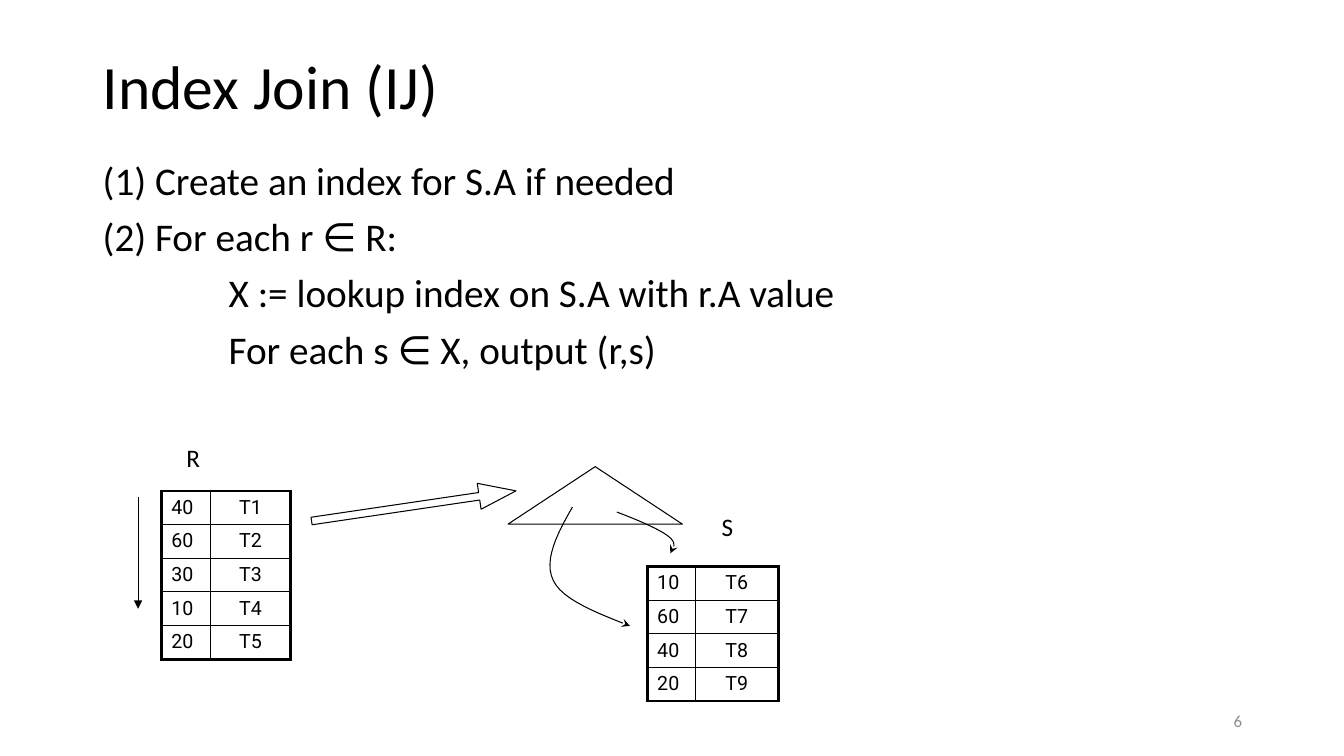
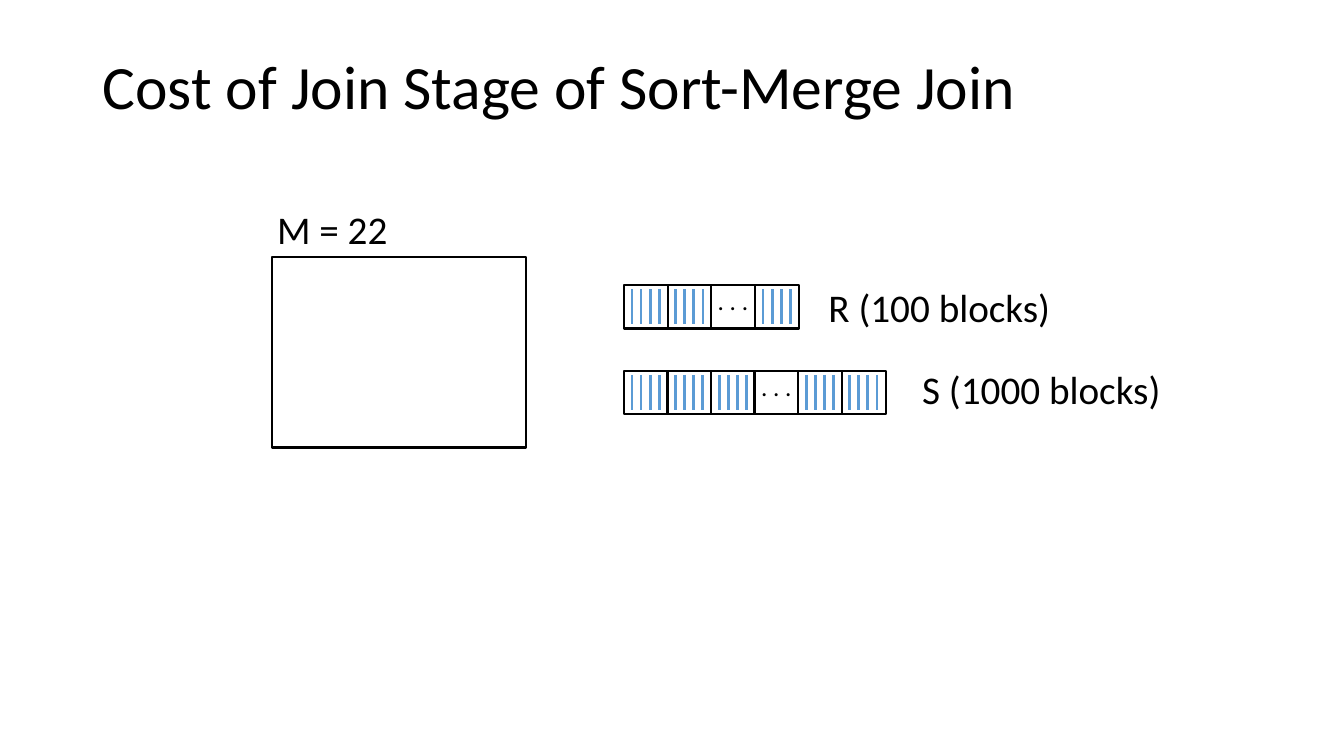
from dataclasses import dataclass

from lxml.etree import SubElement
from pptx import Presentation
from pptx.dml.color import RGBColor
from pptx.enum.shapes import MSO_CONNECTOR, MSO_SHAPE
from pptx.enum.text import MSO_ANCHOR, PP_ALIGN
from pptx.oxml.ns import qn
from pptx.util import Inches, Pt

CELL = Inches(0.1)
COLUMNS, ROWS = 133.33, 75
BLACK = RGBColor(0x00, 0x00, 0x00)
WHITE = RGBColor(0xFF, 0xFF, 0xFF)
GREY = RGBColor(0x8C, 0x8C, 0x8C)
BLUE = RGBColor(0x5B, 0x9B, 0xD5)
TEXT_FONT, TABLE_FONT = "Calibri", "Roboto"
THIN, INNER, BLOCK, STRIPE, OUTER = 0.75, 1, 1.5, 2, 2.25


@dataclass
class Box:
    """A region measured in grid columns and rows."""

    left: float
    top: float
    width: float
    height: float

    def inset(self, left, top, width, height):
        """Return a region offset from this one's corner."""
        return Box(self.left + left, self.top + top, width, height)

    def point(self, column, row):
        """Return a slide position in EMU for an offset from the corner."""
        return round((self.left + column) * CELL), round((self.top + row) * CELL)

    def frame(self):
        """Return left, top, width and height in EMU."""
        return [round(v * CELL) for v in (self.left, self.top, self.width, self.height)]


TITLE = Box(9.2, 4, 115, 9.7)
BODY = Box(9.2, 15.5, 115, 52.1)
PAGE_NUMBER = Box(94.2, 69.5, 30, 4)


def add_run(paragraph, text, size, color=BLACK, font=TEXT_FONT):
    """Add one styled run to a paragraph."""
    run = paragraph.add_run()
    run.text = text
    run.font.size = Pt(size)
    run.font.name = font
    run.font.color.rgb = color


def add_text(slide, box, lines, size, color=BLACK, align=PP_ALIGN.LEFT,
             anchor=MSO_ANCHOR.TOP, wrap=True, spacing=None, before=None):
    """Place lines of text, each given with its left indent in columns."""
    frame = slide.shapes.add_textbox(*box.frame()).text_frame
    frame.word_wrap = wrap
    frame.vertical_anchor = anchor
    for index, (text, indent) in enumerate(lines):
        paragraph = frame.add_paragraph() if index else frame.paragraphs[0]
        paragraph.alignment = align
        paragraph.line_spacing = spacing
        paragraph.space_before = before
        if indent:
            paragraph._p.get_or_add_pPr().set("marL", str(round(indent * CELL)))
        add_run(paragraph, text, size, color)


def add_label(slide, box, text, size):
    """Place a short unwrapped label."""
    add_text(slide, box, [(text, 0)], size, wrap=False)


def add_outlined(slide, kind, box, weight):
    """Place a white preset shape with a black outline."""
    shape = slide.shapes.add_shape(kind, *box.frame())
    shape.shadow.inherit = False
    shape.fill.solid()
    shape.fill.fore_color.rgb = WHITE
    style_line(shape, weight)
    return shape


def style_line(shape, weight, color=BLACK, head=None):
    """Set the line's weight, colour and closing arrowhead."""
    shape.line.width = Pt(weight)
    shape.line.color.rgb = color
    if head:
        SubElement(shape.element.find(".//" + qn("a:ln")), qn("a:tailEnd"), type=head)


def add_line(slide, start, end, weight, color=BLACK, head=None):
    """Draw a straight line without a shadow."""
    line = slide.shapes.add_connector(MSO_CONNECTOR.STRAIGHT, *start, *end)
    style_line(line, weight, color, head)
    SubElement(line.element.spPr, qn("a:effectLst"))


def bezier(controls, t):
    """Return the point at t on a cubic curve."""
    weights = ((1 - t) ** 3, 3 * t * (1 - t) ** 2, 3 * t * t * (1 - t), t ** 3)
    return tuple(sum(w * c[axis] for w, c in zip(weights, controls)) for axis in (0, 1))


def add_curved_arrow(slide, box, controls, steps=12):
    """Draw joined cubic curves ending in an arrowhead."""
    points = [box.point(*bezier(controls[first:first + 4], step / steps))
              for first in range(0, len(controls) - 1, 3)
              for step in range(1, steps + 1)]
    builder = slide.shapes.build_freeform(*box.point(*controls[0]))
    builder.add_line_segments(points, close=False)
    arrow = builder.convert_to_shape()
    arrow.shadow.inherit = False
    arrow.fill.background()
    style_line(arrow, THIN, head="stealth")


def add_border(cell, side, weight):
    """Add one black border to a table cell."""
    border = SubElement(cell._tc.get_or_add_tcPr(), qn("a:ln" + side), w=str(Pt(weight)))
    SubElement(SubElement(border, qn("a:solidFill")), qn("a:srgbClr"), val=str(BLACK))


def add_relation(slide, box, key_width, records):
    """Draw a relation as a two-column table with a heavy frame."""
    table = slide.shapes.add_table(len(records), 2, *box.frame()).table
    table.first_row = table.horz_banding = False
    for column, width in zip(table.columns, (key_width, box.width - key_width)):
        column.width = round(width * CELL)
    last = len(records) - 1
    for r, record in enumerate(records):
        table.rows[r].height = round(box.height * CELL / len(records))
        for c, value in enumerate(record):
            cell = table.cell(r, c)
            edges = {"L": c == 0, "R": c == 1, "T": r == 0, "B": r == last}
            for side, outside in edges.items():
                add_border(cell, side, OUTER if outside else INNER)
            cell.fill.solid()
            cell.fill.fore_color.rgb = WHITE
            paragraph = cell.text_frame.paragraphs[0]
            paragraph.alignment = PP_ALIGN.CENTER if c else PP_ALIGN.LEFT
            add_run(paragraph, value, 14, font=TABLE_FONT)


def add_blocks(slide, box, count, gap_index, caption, caption_box):
    """Draw a row of striped disk blocks, one of them an ellipsis."""
    side = 4.4
    pitch = (box.width - side) / (count - 1)
    blocks = [box.inset(i * pitch, 0, side, box.height) for i in range(count)]
    for block in blocks:
        add_outlined(slide, MSO_SHAPE.RECTANGLE, block, BLOCK)
    for index, block in enumerate(blocks):
        if index == gap_index:
            add_label(slide, block.inset(-0.35, -0.5, 5.1, 4), ". . .", 18)
            continue
        for stripe in range(4):
            column = 0.8 + 0.9 * stripe
            add_line(slide, block.point(column, 0.4), block.point(column, 3.85), STRIPE, BLUE)
    add_label(slide, caption_box, caption, 28)


def add_index_lookup(slide, box):
    """Draw relation R probing the index that points into relation S."""
    add_outlined(slide, MSO_SHAPE.ISOSCELES_TRIANGLE, box.inset(36.7, 2.9, 17.3, 5.7), THIN)
    add_curved_arrow(slide, box, [(43.1, 6.9), (41.6, 9.5), (40.2, 12.2), (41.2, 14.2),
                                  (42.1, 16.1), (45.5, 17.4), (48.8, 18.7)])
    add_curved_arrow(slide, box, [(47.5, 7.4), (49.6, 8.2), (51.7, 9.1), (52.6, 9.8),
                                  (53.5, 10.5), (53.1, 11), (52.8, 11.5)])
    probe = add_outlined(slide, MSO_SHAPE.RIGHT_ARROW, box.inset(17.1, 5.5, 20.5, 2.6), THIN)
    probe.adjustments[0], probe.adjustments[1] = 0.29, 1.42
    probe.rotation = 351.6
    add_line(slide, box.point(0, 5.9), box.point(0, 17), THIN, head="triangle")
    add_relation(slide, box.inset(2.3, 5.3, 12.8, 16.7), 4.9,
                 [("40", "T1"), ("60", "T2"), ("30", "T3"), ("10", "T4"), ("20", "T5")])
    add_relation(slide, box.inset(50.5, 12.8, 13, 13.3), 4.8,
                 [("10", "T6"), ("60", "T7"), ("40", "T8"), ("20", "T9")])
    add_label(slide, box.inset(3.8, 0, 3.4, 4), "R", 18)
    add_label(slide, box.inset(56.9, 6.8, 3.2, 4), "S", 18)


def add_memory_and_disk(slide, box):
    """Draw the memory area beside the blocks of both relations."""
    add_outlined(slide, MSO_SHAPE.RECTANGLE, box.inset(0.5, 5.6, 25.2, 18.9), BLOCK)
    add_label(slide, box.inset(0, 0, 13.1, 5.7), "M = 22", 28)
    add_blocks(slide, box.inset(35.4, 8.4, 17.4, 4.3), 4, 2,
               "R (100 blocks)", box.inset(54.7, 7.7, 24.3, 5.7))
    add_blocks(slide, box.inset(35.4, 16.9, 26, 4.3), 6, 3,
               "S (1000 blocks)", box.inset(64, 15.9, 26, 5.7))


def add_titled_slide(deck, title):
    """Add a blank slide with the shared title style."""
    slide = deck.slides.add_slide(deck.slide_layouts[6])
    add_text(slide, TITLE, [(title, 0)], 44, anchor=MSO_ANCHOR.MIDDLE, spacing=0.9)
    return slide


def build_index_join(deck):
    """Build the slide on the index join."""
    slide = add_titled_slide(deck, "Index Join (IJ)")
    steps = [("(1) Create an index for S.A if needed", 0),
             ("(2) For each r ∈ R:", 0),
             ("X := lookup index on S.A with r.A value", 12.5),
             ("For each s ∈ X, output (r,s)", 12.5)]
    add_text(slide, BODY, steps, 28, spacing=0.9, before=Pt(10))
    add_text(slide, PAGE_NUMBER, [("6", 0)], 12, GREY, PP_ALIGN.RIGHT, MSO_ANCHOR.MIDDLE)
    add_index_lookup(slide, Box(13.7, 43.4, 63.5, 26.1))


def build_join_cost(deck):
    """Build the slide on the cost of the join stage."""
    slide = add_titled_slide(deck, "Cost of Join Stage of Sort-Merge Join")
    add_memory_and_disk(slide, Box(26.5, 19.9, 90, 24.5))


def main():
    """Build and save the deck."""
    deck = Presentation()
    deck.slide_width = round(COLUMNS * CELL)
    deck.slide_height = ROWS * CELL
    build_index_join(deck)
    build_join_cost(deck)
    deck.save("out.pptx")


if __name__ == "__main__":
    main()
